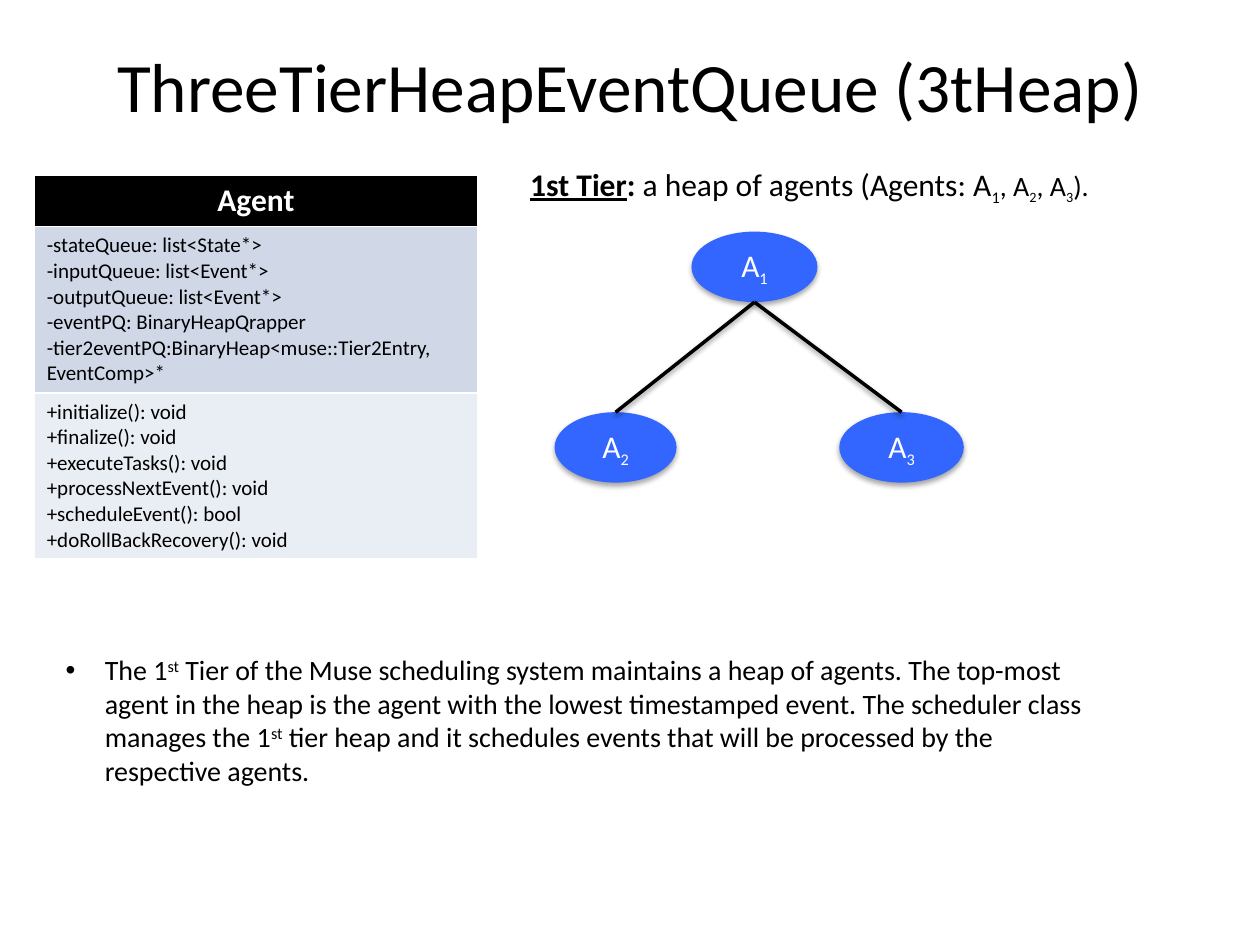
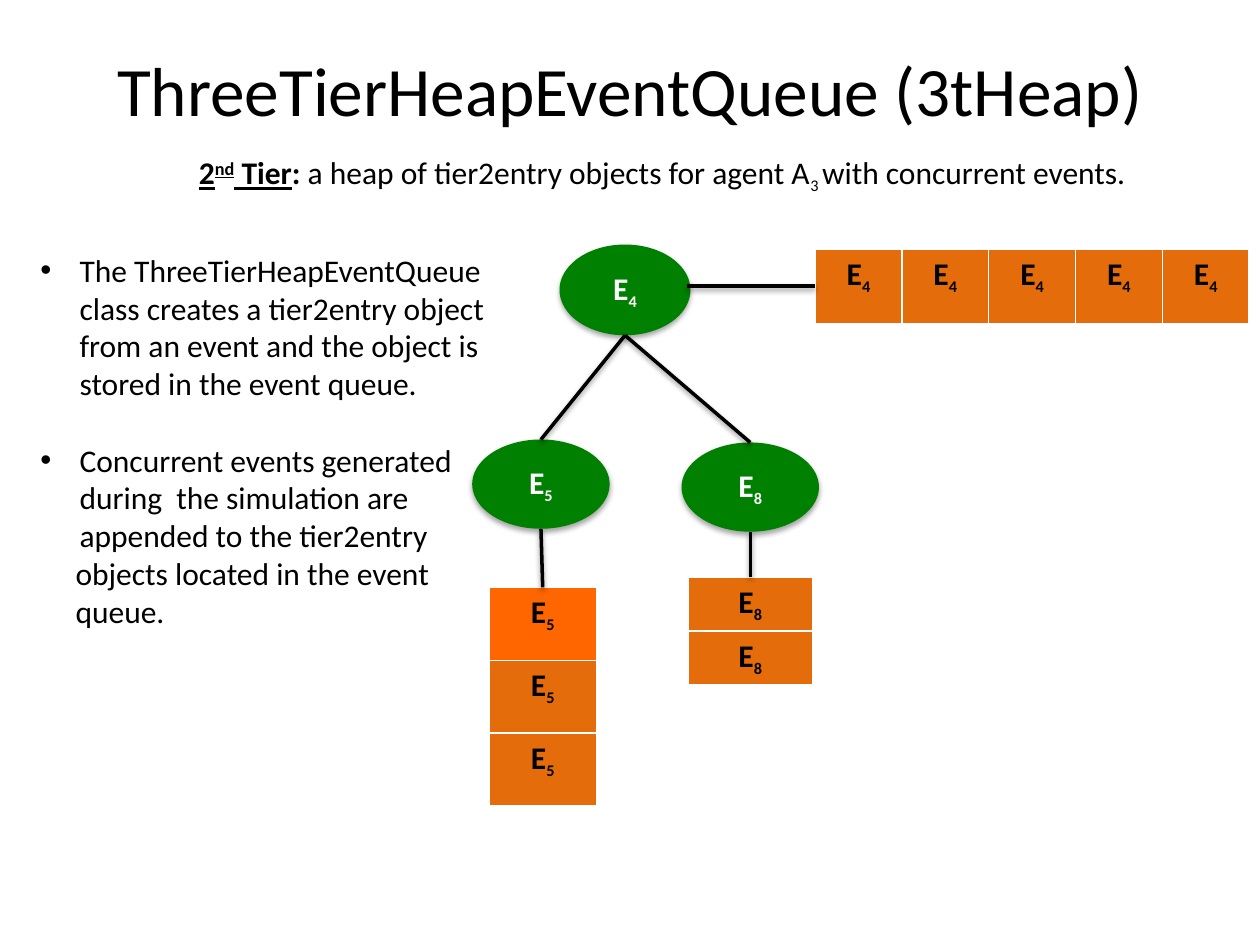
from lxml import etree
from pptx import Presentation
from pptx.dml.color import RGBColor
from pptx.enum.shapes import MSO_CONNECTOR as Connector, MSO_SHAPE as Shape
from pptx.enum.text import MSO_ANCHOR as Anchor, MSO_AUTO_SIZE as AutoSize, PP_ALIGN as Align
from pptx.oxml.ns import qn
from pptx.util import Cm, Pt

COLORS = {
    "black": "000000", "white": "FFFFFF", "blue": "3366FF", "green": "008000",
    "orange": "E46C0A", "bright": "FF6600", "attributes": "D0D8E8", "methods": "E9EDF4",
}
TITLE = "ThreeTierHeapEventQueue (3tHeap)"
SUB = {"size": 16, "baseline": -25}
SMALL_SUB = {"size": 14, "baseline": -25}
SUPER = {"baseline": 30}
SMALL = {"size": 16}
HEADING = {"bold": True, "underline": True}
BOLD = {"bold": True}
BULLET_INDENT = 0.79
CONTINUED_INDENT = 0.71


def write_runs(paragraph, runs, **defaults):
    """Fill a paragraph with (text, format) runs; a newline is a line break."""
    if isinstance(runs, str):
        runs = [(runs, {})]
    for text, changes in runs:
        values = {"name": "Calibri", "size": 18, "bold": False, "underline": False,
                  "color": "black", "baseline": 0, **defaults, **changes}
        for number, line in enumerate(text.split("\n")):
            if number:
                paragraph.add_line_break()
                line_break = paragraph._p.findall(qn("a:br"))[-1]
                etree.SubElement(line_break, qn("a:rPr"), sz=str(values["size"] * 100))
            run = paragraph.add_run()
            run.text = line
            for attribute in ("name", "bold", "underline"):
                setattr(run.font, attribute, values[attribute])
            run.font.size = Pt(values["size"])
            run.font.color.rgb = RGBColor.from_string(COLORS[values["color"]])
            if values["baseline"]:
                run.font._element.set("baseline", str(values["baseline"] * 1000))


def add_shadow(shape, distance, opacity):
    """Give a shape or connector a soft shadow that falls straight down."""
    effects = etree.SubElement(shape._element.spPr, qn("a:effectLst"))
    shadow = etree.SubElement(effects, qn("a:outerShdw"), blurRad=str(Pt(3.1)),
                              dist=str(Pt(distance)), dir="5400000", rotWithShape="0")
    color = etree.SubElement(shadow, qn("a:srgbClr"), val=COLORS["black"])
    etree.SubElement(color, qn("a:alpha"), val=str(opacity * 1000))


# Boxes are left, top, width, height in centimetres.
# Table rows are height, fill, text format, cells; a cell is a list of paragraphs.
# Body paragraphs are runs, indent, bullet, points before.
e4, e5, e8 = ([("E", {}), (digit, SUB)] for digit in "458")

first_tier = {
    "title": (1.27, 0.76, 22.86, 1.9),
    "caption": (10.44, 3.2, 13.31, 1.02),
    "caption_runs": [
        ("1st Tier", HEADING), (":", BOLD), (" a heap of agents (Agents: A", {}), ("1", SUB),
        (", A", SMALL), ("2", SMALL_SUB), (", A", SMALL), ("3", SMALL_SUB), (").", SMALL),
    ],
    "node_format": {"color": "white"},
    "node_fill": "blue",
    "nodes": {
        "A1": (13.94, 4.67, 2.54, 1.42),
        "A2": (11.18, 8.31, 2.46, 1.42),
        "A3": (16.92, 8.31, 2.51, 1.42),
    },
    "tables": {
        "Agent": (0.69, 3.53, 8.94, [
            (1.04, "black", {"color": "white", "bold": True, "align": Align.CENTER}, [["Agent"]]),
            (3.3, "attributes", {"size": 12}, [[
                "-stateQueue: list<State*>",
                "-inputQueue: list<Event*>",
                "-outputQueue: list<Event*>",
                "-eventPQ: BinaryHeapQrapper",
                "-tier2eventPQ:BinaryHeap<muse::Tier2Entry, EventComp>*",
            ]]),
            (3.3, "methods", {"size": 12}, [[
                "+initialize(): void",
                "+finalize(): void",
                "+executeTasks(): void",
                "+processNextEvent(): void",
                "+scheduleEvent(): bool",
                "+doRollBackRecovery(): void",
            ]]),
        ]),
    },
    "edges": [("A1", "A2"), ("A1", "A3")],
    "side_lines": [],
    "body": (1.07, 13.03, 21.21, 3),
    "body_size": 16,
    "paragraphs": [
        ([("The 1", {}), ("st", SUPER),
          (" Tier of the Muse scheduling system maintains a heap of agents. The top-most agent "
           "in the heap is the agent with the lowest timestamped event. The scheduler class "
           "manages the 1", {}), ("st", SUPER),
          (" tier heap and it schedules events that will be processed by the respective agents.",
           {})], BULLET_INDENT, True, 0),
    ],
}

queue_format = {"bold": True, "align": Align.CENTER}
second_tier = {
    "title": (1.27, 0.71, 22.86, 2.16),
    "caption": (3.76, 2.97, 19.56, 1.02),
    "caption_runs": [
        ("2", HEADING), ("nd", {**HEADING, **SUPER}), (" Tier", HEADING), (":", BOLD),
        (" a heap of tier2entry objects for agent A", {}), ("3 ", SUB),
        ("with concurrent events.", {}),
    ],
    "node_format": {"color": "white", "bold": True},
    "node_fill": "green",
    "nodes": {
        "E4": (11.28, 4.93, 2.64, 1.83),
        "E5": (9.52, 8.86, 2.77, 1.8),
        "E8": (13.74, 8.92, 2.77, 1.8),
    },
    "tables": {
        "E4 queue": (16.43, 5.03, 1.75, [(1.5, "orange", queue_format, [[e4]] * 5)]),
        "E5 queue": (9.86, 11.84, 2.16, [
            (1.47, fill, queue_format, [[e5]]) for fill in ("bright", "orange", "orange")]),
        "E8 queue": (13.87, 11.63, 2.51, [(1.08, "orange", queue_format, [[e8]])] * 2),
    },
    "edges": [("E4", "E5"), ("E4", "E8"), ("E5", "E5 queue"), ("E8", "E8 queue")],
    "side_lines": [(13.84, 5.77, 16.43, 5.77)],
    "body": (0.56, 4.93, 10.67, 7.95),
    "body_size": 18,
    "paragraphs": [
        ("The ThreeTierHeapEventQueue class creates a tier2entry object from an event and the "
         "object is stored in the event queue.", BULLET_INDENT, True, 0),
        ("Concurrent events generated\nduring  the simulation are\nappended to the tier2entry",
         BULLET_INDENT, True, 22),
        ("objects located in the event", CONTINUED_INDENT, False, 0),
        ("queue.", CONTINUED_INDENT, False, 0),
    ],
}

presentation = Presentation()
presentation.slide_width, presentation.slide_height = Cm(25.4), Cm(19.05)

for content in (first_tier, second_tier):
    slide = presentation.slides.add_slide(presentation.slide_layouts[1])
    title, body = slide.shapes.title, slide.placeholders[1]
    caption = slide.shapes.add_textbox(*map(Cm, content["caption"]))
    for shape, box in ((title, content["title"]), (body, content["body"])):
        shape.left, shape.top, shape.width, shape.height = map(Cm, box)
    for shape in (title, body, caption):
        shape.text_frame.word_wrap = True
        shape.text_frame.auto_size = AutoSize.NONE

    title.text_frame.vertical_anchor = Anchor.MIDDLE
    title.text_frame.paragraphs[0].alignment = Align.CENTER
    write_runs(title.text_frame.paragraphs[0], TITLE, size=39.6)
    write_runs(caption.text_frame.paragraphs[0], content["caption_runs"])

    for index, (runs, indent, bullet, before) in enumerate(content["paragraphs"]):
        frame = body.text_frame
        paragraph = frame.add_paragraph() if index else frame.paragraphs[0]
        paragraph.space_before = Pt(before)
        properties = paragraph._p.get_or_add_pPr()
        properties.set("marL", str(Cm(indent)))
        properties.set("indent", str(-Cm(indent) if bullet else 0))
        if bullet:
            etree.SubElement(properties, qn("a:buFont"), typeface="Arial")
            etree.SubElement(properties, qn("a:buChar"), char="•")
        else:
            etree.SubElement(properties, qn("a:buNone"))
        write_runs(paragraph, runs, size=content["body_size"])

    boxes = {}
    for name, (left, top, column_width, rows) in content["tables"].items():
        column_count = len(rows[0][3])
        width, height = column_width * column_count, sum(row[0] for row in rows)
        boxes[name] = (left, top, width, height)
        table = slide.shapes.add_table(len(rows), column_count, *map(Cm, boxes[name])).table
        for column in table.columns:
            column.width = Cm(column_width)
        for row, (row_height, fill, text_format, cells) in zip(table.rows, rows):
            row.height = Cm(row_height)
            run_format = dict(text_format)
            alignment = run_format.pop("align", Align.LEFT)
            for cell, paragraphs in zip(row.cells, cells):
                cell.fill.solid()
                cell.fill.fore_color.rgb = RGBColor.from_string(COLORS[fill])
                for index, runs in enumerate(paragraphs):
                    frame = cell.text_frame
                    paragraph = frame.add_paragraph() if index else frame.paragraphs[0]
                    paragraph.alignment = alignment
                    write_runs(paragraph, runs, **run_format)

    for name, box in content["nodes"].items():
        boxes[name] = box
        node = slide.shapes.add_shape(Shape.OVAL, *map(Cm, box))
        node.fill.solid()
        node.fill.fore_color.rgb = RGBColor.from_string(COLORS[content["node_fill"]])
        node.line.fill.background()
        add_shadow(node, 1.8, 35)
        node.text_frame.vertical_anchor = Anchor.MIDDLE
        paragraph = node.text_frame.paragraphs[0]
        paragraph.alignment = Align.CENTER
        write_runs(paragraph, [(name[0], {}), (name[1], SUB)], **content["node_format"])

    # An edge runs from the bottom centre of the upper box to the top centre of the lower.
    lines = list(content["side_lines"])
    for upper, lower in content["edges"]:
        left, top, width, height = boxes[upper]
        lower_left, lower_top, lower_width, _ = boxes[lower]
        lines.append((left + width / 2, top + height, lower_left + lower_width / 2, lower_top))
    for ends in lines:
        connector = slide.shapes.add_connector(Connector.STRAIGHT, *map(Cm, ends))
        connector.line.color.rgb = RGBColor.from_string(COLORS["black"])
        connector.line.width = Pt(2)
        add_shadow(connector, 1.6, 38)

presentation.save("out.pptx")
